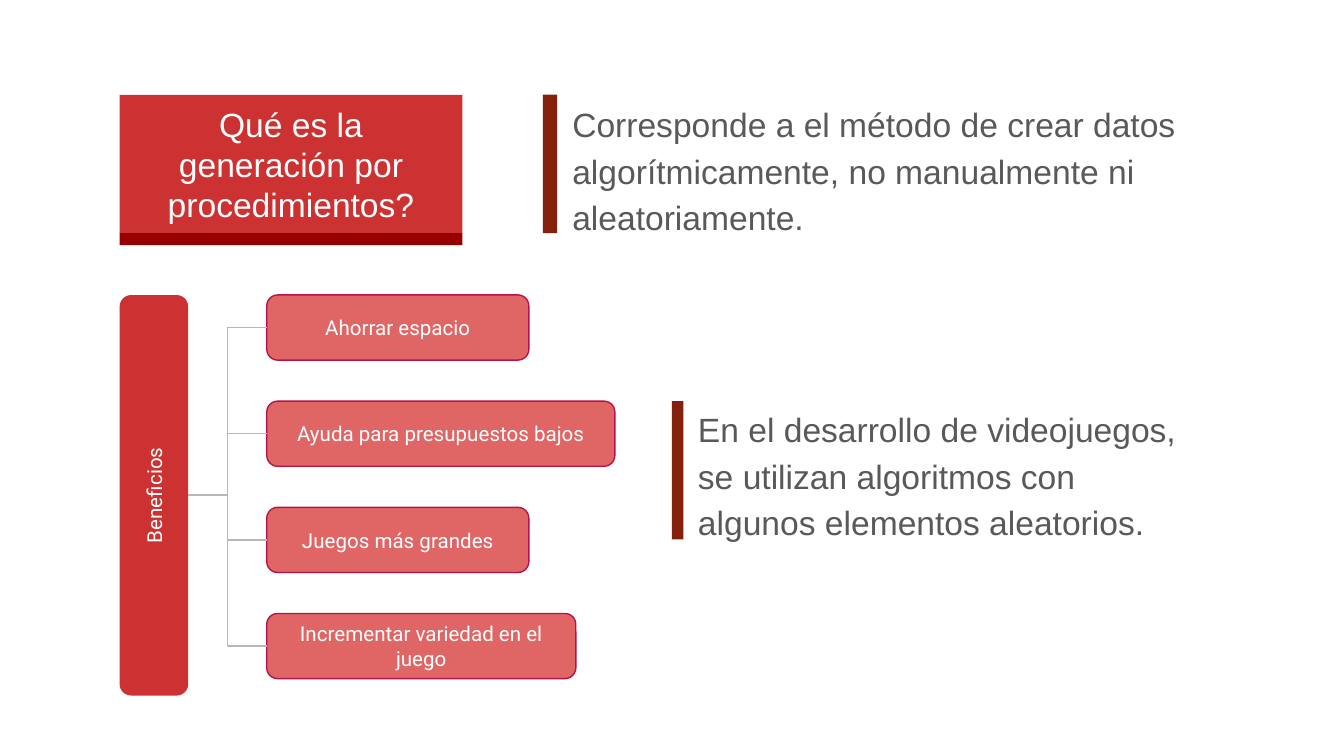
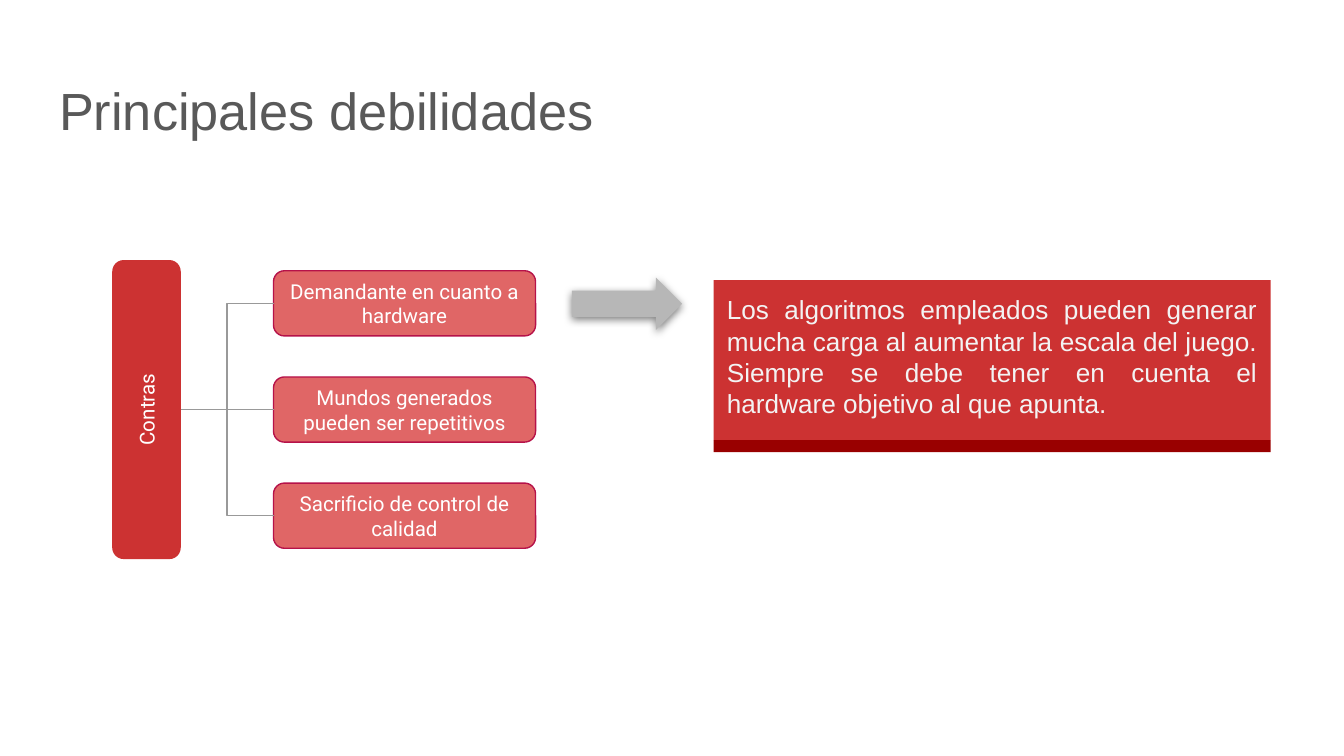
from dataclasses import dataclass
from typing import NamedTuple

from lxml import etree
from pptx import Presentation
from pptx import util as u
from pptx.dml.color import RGBColor
from pptx.enum import dml, shapes, text
from pptx.oxml import parse_xml
from pptx.oxml.ns import nsdecls, qn

PX = 4572


@dataclass(frozen=True)
class Theme:
    """Colours, fonts and type sizes shared by the slides."""

    red: str = "CC3232"
    light_red: str = "E06666"
    leaf_edge: str = "B61249"
    question_band: str = "980000"
    note_band: str = "990000"
    brown: str = "85200C"
    grey: str = "B7B7B7"
    mid_grey: str = "999999"
    ink: str = "595959"
    white: str = "FFFFFF"
    off_white: str = "F3F3F3"
    sans: str = "Arial"
    label_font: str = "Roboto"
    title_size: int = 28
    body_size: int = 18
    note_size: int = 14
    label_size: int = 11
    hairline: float = 0.75


THEME = Theme()


class Box(NamedTuple):
    """A rectangle in px."""

    left: float
    top: float
    width: float
    height: float


class Style(NamedTuple):
    """How a passage of text looks."""

    size: int
    color: str
    font: str = THEME.sans
    align: text.PP_ALIGN = text.PP_ALIGN.LEFT
    anchor: text.MSO_ANCHOR = text.MSO_ANCHOR.TOP
    line_spacing: float = 1.0
    space_after: int = 0


class Leaf(NamedTuple):
    """One item of a tree."""

    label: str
    width: int = 390


class Tree(NamedTuple):
    """A vertical trunk with evenly spaced leaves at its right."""

    label: str
    trunk: Box
    leaf_left: int
    leaf_top: int
    leaves: tuple[Leaf, ...]
    line_color: str


LEAF_HEIGHT = 97
LEAF_PITCH = 158
BAND_HEIGHT = 18
INSET = 20

TITLE = Style(THEME.title_size, THEME.ink)
QUESTION = Style(THEME.body_size, THEME.white, align=text.PP_ALIGN.CENTER,
                 anchor=text.MSO_ANCHOR.MIDDLE)
BODY = Style(THEME.body_size, THEME.ink, line_spacing=1.15, space_after=16)
NOTE = Style(THEME.note_size, THEME.off_white, align=text.PP_ALIGN.JUSTIFY)
LABEL = Style(THEME.label_size, THEME.white, THEME.label_font,
              text.PP_ALIGN.CENTER, text.MSO_ANCHOR.MIDDLE)

BENEFITS = Tree(
    "Beneficios", Box(178, 439, 102, 596), 397, 439,
    (Leaf("Ahorrar espacio"), Leaf("Ayuda para presupuestos bajos", 518),
     Leaf("Juegos más grandes"), Leaf("Incrementar variedad en el juego", 460)),
    THEME.grey)
DRAWBACKS = Tree(
    "Contras", Box(167, 387, 102, 445), 407, 403,
    (Leaf("Demandante en cuanto a hardware"),
     Leaf("Mundos generados pueden ser repetitivos"),
     Leaf("Sacrificio de control de calidad")),
    THEME.mid_grey)


def px(length: float) -> u.Emu:
    """Turn px into EMU."""
    return u.Emu(round(length * PX))


def place(box: Box) -> list[u.Emu]:
    """Give left, top, width and height in EMU."""
    return [px(length) for length in box]


def write(shape, words: str, style: Style) -> None:
    """Set the text of a shape as one styled run."""
    frame = shape.text_frame
    frame.word_wrap = True
    frame.auto_size = text.MSO_AUTO_SIZE.NONE
    frame.vertical_anchor = style.anchor
    frame.margin_left = frame.margin_right = px(INSET)
    frame.margin_top = frame.margin_bottom = px(INSET)
    paragraph = frame.paragraphs[0]
    paragraph.alignment = style.align
    paragraph.line_spacing = style.line_spacing
    paragraph.space_before = u.Pt(0)
    paragraph.space_after = u.Pt(style.space_after)
    run = paragraph.add_run()
    run.text = words
    run.font.name = style.font
    run.font.size = u.Pt(style.size)
    run.font.color.rgb = RGBColor.from_string(style.color)


def paint(shape, color: str) -> None:
    """Fill a shape with one colour."""
    shape.fill.solid()
    shape.fill.fore_color.rgb = RGBColor.from_string(color)


def outline(shape, color: str) -> None:
    """Give a shape or connector a thin line."""
    shape.line.color.rgb = RGBColor.from_string(color)
    shape.line.width = u.Pt(THEME.hairline)
    shape.line.dash_style = dml.MSO_LINE.SOLID


def add_block(slide, box: Box, color: str,
              kind: shapes.MSO_SHAPE = shapes.MSO_SHAPE.RECTANGLE):
    """Add a flat filled shape without a line."""
    block = slide.shapes.add_shape(kind, *place(box))
    block.shadow.inherit = False
    paint(block, color)
    block.line.fill.background()
    return block


def add_title(slide, box: Box, words: str, style: Style):
    """Move the title placeholder and write in it."""
    title = slide.shapes.title
    title.left, title.top, title.width, title.height = place(box)
    write(title, words, style)
    return title


def add_band(slide, above: Box, color: str) -> None:
    """Add the dark band under a red panel."""
    add_block(slide, Box(above.left, above.top + above.height, above.width, BAND_HEIGHT),
              color)


def add_statement(slide, bar: Box, body: Box, words: str) -> None:
    """Add a paragraph with a brown bar at its left."""
    write(slide.shapes.add_textbox(*place(body)), words, BODY)
    add_block(slide, bar, THEME.brown)


def add_branch(slide, trunk, leaf, start: tuple[u.Emu, u.Emu], color: str) -> None:
    """Join the trunk to a leaf with an elbow."""
    branch = slide.shapes.add_connector(shapes.MSO_CONNECTOR.ELBOW, *start, *start)
    branch.begin_connect(trunk, 2)
    branch.end_connect(leaf, 1)
    branch.begin_x, branch.begin_y = start
    outline(branch, color)
    etree.SubElement(branch._element.spPr, qn("a:effectLst"))


def add_tree(slide, tree: Tree) -> None:
    """Draw the trunk, its leaves and the branches between them."""
    left, top, width, height = tree.trunk
    middle = top + height / 2
    turned = Box(left + (width - height) / 2, middle - width / 2, height, width)
    trunk = add_block(slide, turned, THEME.red, shapes.MSO_SHAPE.ROUNDED_RECTANGLE)
    trunk.rotation = 270
    write(trunk, tree.label, LABEL)
    start = px(left + width), px(middle)
    for row, item in enumerate(tree.leaves):
        spot = Box(tree.leaf_left, tree.leaf_top + row * LEAF_PITCH, item.width, LEAF_HEIGHT)
        leaf = add_block(slide, spot, THEME.light_red, shapes.MSO_SHAPE.ROUNDED_RECTANGLE)
        outline(leaf, THEME.leaf_edge)
        write(leaf, item.label, LABEL)
        add_branch(slide, trunk, leaf, start, tree.line_color)


def add_soft_shadow(shape) -> None:
    """Give a shape a soft shadow straight below."""
    properties = shape._element.spPr
    properties.remove(properties.find(qn("a:effectLst")))
    properties.append(parse_xml(
        f'<a:effectLst {nsdecls("a")}>'
        f'<a:outerShdw blurRad="{u.Pt(4.5)}" dist="{u.Pt(1.5)}" dir="5400000" '
        'algn="bl" rotWithShape="0"><a:srgbClr val="000000"><a:alpha val="50000"/>'
        '</a:srgbClr></a:outerShdw></a:effectLst>'))


def build_definition(slide) -> None:
    """Build the slide on what procedural generation is."""
    panel = Box(178, 141, 510, 206)
    question = add_title(slide, panel, "Qué es la generación por procedimientos?", QUESTION)
    paint(question, THEME.red)
    add_band(slide, panel, THEME.question_band)
    add_statement(slide, Box(808, 141, 21, 206), Box(832, 126, 962, 222),
                  "Corresponde a el método de crear datos algorítmicamente, "
                  "no manualmente ni aleatoriamente.")
    add_tree(slide, BENEFITS)
    add_statement(slide, Box(1000, 597, 17, 206), Box(1019, 580, 776, 222),
                  "En el desarrollo de videojuegos, se utilizan algoritmos "
                  "con algunos elementos aleatorios.")


def build_weaknesses(slide) -> None:
    """Build the slide on the main weaknesses."""
    add_title(slide, Box(68, 97, 1864, 126), "Principales debilidades", TITLE)
    add_tree(slide, DRAWBACKS)
    arrow = add_block(slide, Box(851, 413, 164, 78), THEME.grey, shapes.MSO_SHAPE.RIGHT_ARROW)
    add_soft_shadow(arrow)
    panel = Box(1062, 417, 829, 238)
    write(add_block(slide, panel, THEME.red),
          "Los algoritmos empleados pueden generar mucha carga al aumentar la escala "
          "del juego. Siempre se debe tener en cuenta el hardware objetivo al que apunta.",
          NOTE)
    add_band(slide, panel, THEME.note_band)


def main() -> None:
    """Build and save the deck."""
    deck = Presentation()
    deck.slide_width, deck.slide_height = px(2000), px(1125)
    title_only = deck.slide_layouts[5]
    for build in (build_definition, build_weaknesses):
        build(deck.slides.add_slide(title_only))
    deck.save("out.pptx")


if __name__ == "__main__":
    main()
